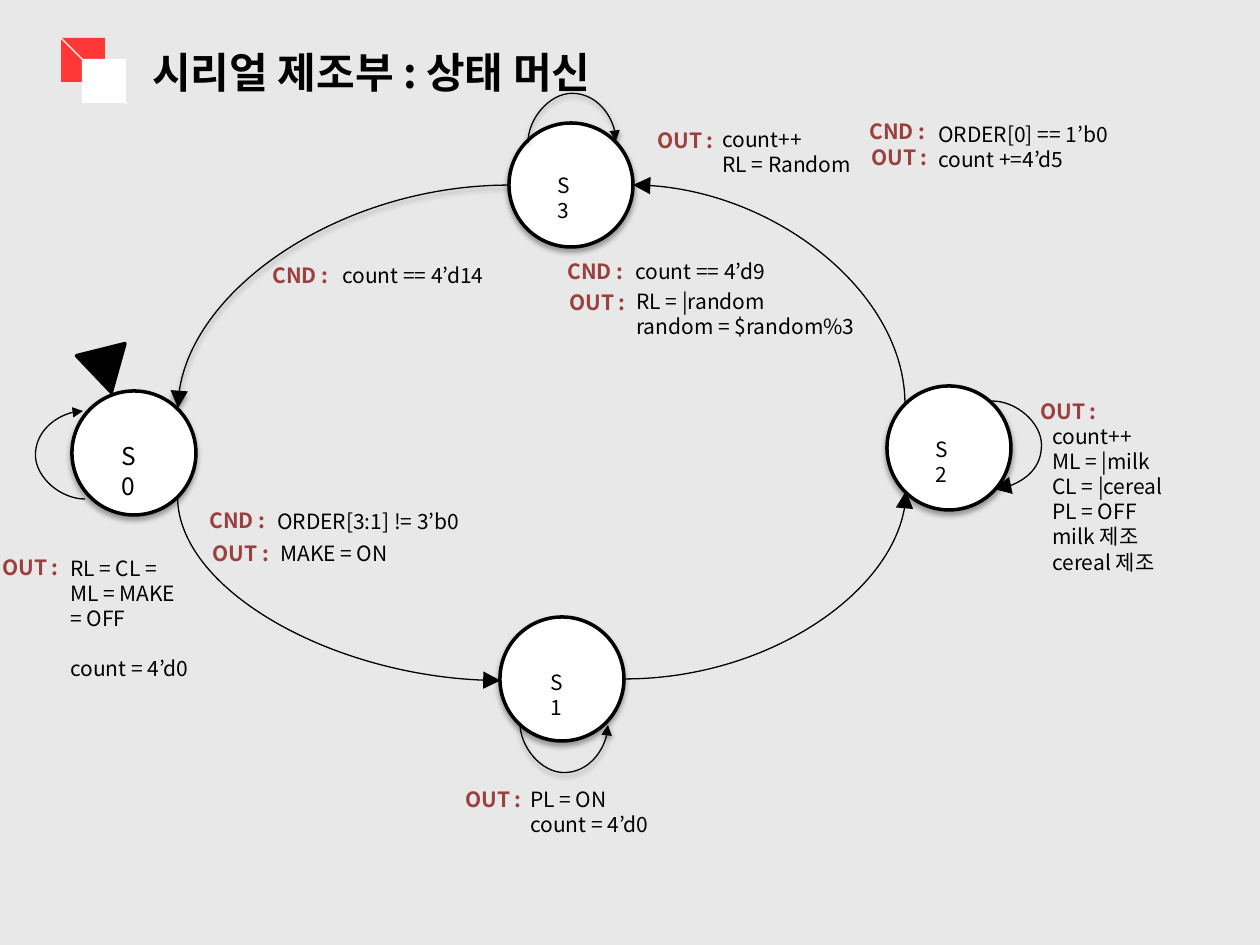
"""Builds the state machine slide of the cereal maker."""

from dataclasses import dataclass

from lxml.etree import SubElement
from pptx import Presentation
from pptx.dml.color import RGBColor
from pptx.enum.shapes import MSO_CONNECTOR, MSO_SHAPE
from pptx.enum.text import MSO_ANCHOR, MSO_AUTO_SIZE, PP_ALIGN
from pptx.oxml.ns import qn
from pptx.util import Emu, Pt


@dataclass(frozen=True)
class Theme:
    font: str = "Noto Sans CJK KR"
    ground: RGBColor = RGBColor(0xE8, 0xE8, 0xE8)
    ink: RGBColor = RGBColor(0, 0, 0)
    white: RGBColor = RGBColor(0xFF, 0xFF, 0xFF)
    red: RGBColor = RGBColor(0xFF, 0x37, 0x37)
    keyword: RGBColor = RGBColor(0x9A, 0x40, 0x3E)
    title_size: int = 24
    start_size: int = 14
    text_size: int = 12


THEME = Theme()
PX = 914400 / 126
INSET = Emu(45720)


def write(box, text, size, color, bold=False, wrap=False):
    frame = box.text_frame
    frame.text = text
    frame.word_wrap = wrap
    frame.auto_size = MSO_AUTO_SIZE.NONE
    frame.vertical_anchor = MSO_ANCHOR.TOP
    frame.margin_left = frame.margin_right = INSET
    frame.margin_top = frame.margin_bottom = INSET
    for para in frame.paragraphs:
        para.alignment = PP_ALIGN.LEFT
        for span in para.runs:
            span.font.name = THEME.font
            span.font.size = Pt(size)
            span.font.bold = bold
            span.font.color.rgb = color
            SubElement(span.font._element, qn("a:ea"), typeface=THEME.font)


def add_shadow(properties, alpha):
    effects = SubElement(properties, qn("a:effectLst"))
    if alpha:
        shadow = SubElement(effects, qn("a:outerShdw"), blurRad="38100", dist="22860",
                            dir="5400000", rotWithShape="0")
        tone = SubElement(shadow, qn("a:srgbClr"), val=str(THEME.ink))
        SubElement(tone, qn("a:alpha"), val=str(alpha * 1000))


deck = Presentation()
deck.slide_width, deck.slide_height = Emu(9144000), Emu(6858000)
page = deck.slides.add_slide(deck.slide_layouts[5])
page.background.fill.solid()
page.background.fill.fore_color.rgb = THEME.ground
shapes = page.shapes

title = shapes.title
title.left, title.top, title.width, title.height = [round(n * PX) for n in (146, 40, 508, 63)]
write(title, "시리얼 제조부 : 상태 머신", THEME.title_size, THEME.ink, bold=True)

for left, top, color in [(61, 38, THEME.red), (82, 59, THEME.white)]:
    square = shapes.add_shape(MSO_SHAPE.RECTANGLE, *[round(n * PX) for n in (left, top, 44, 44)])
    square.shadow.inherit = False
    square.fill.solid()
    square.fill.fore_color.rgb = color
    square.line.fill.background()

diagonal = shapes.add_connector(MSO_CONNECTOR.STRAIGHT, *[round(n * PX) for n in (61, 38, 127, 104)])
diagonal.line.color.rgb = THEME.white
diagonal.line.width = Pt(0.75)
add_shadow(diagonal.element.spPr, 0)

states = [
    ("S0", 72, 391, 115, 435, THEME.start_size),
    ("S1", 500, 617, 544, 663, THEME.text_size),
    ("S2", 887, 386, 929, 430, THEME.text_size),
    ("S3", 509, 123, 551, 166, THEME.text_size),
]
for name, left, top, text_left, text_top, size in states:
    circle = shapes.add_shape(MSO_SHAPE.OVAL, *[round(n * PX) for n in (left, top, 124, 124)])
    circle.fill.solid()
    circle.fill.fore_color.rgb = THEME.white
    circle.line.color.rgb = THEME.ink
    circle.line.width = Pt(2)
    add_shadow(circle.element.spPr, 35)
    box = shapes.add_textbox(*[round(n * PX) for n in (text_left, text_top, 35, 63)])
    write(box, name, size, THEME.ink, wrap=True)

marker = shapes.add_shape(MSO_SHAPE.ISOSCELES_TRIANGLE, *[round(n * PX) for n in (81, 349, 50, 44)])
marker.rotation = 166
marker.shadow.inherit = False
marker.fill.solid()
marker.fill.fore_color.rgb = THEME.ink
marker.line.color.rgb = THEME.ink
marker.line.width = Pt(2)

keywords = [
    ("OUT :", -4, 548), ("CND :", 203, 501), ("OUT :", 206, 534), ("OUT :", 1034, 392),
    ("OUT :", 563, 283), ("CND :", 561, 252), ("OUT :", 651, 121), ("CND :", 266, 256),
    ("OUT :", 459, 780), ("CND :", 863, 112), ("OUT :", 865, 138),
]
for text, left, top in keywords:
    box = shapes.add_textbox(*[round(n * PX) for n in (left, top, 71, 38)])
    write(box, text, THEME.text_size, THEME.keyword, bold=True)

notes = [
    ("RL = CL =\nML = MAKE\n= OFF\ncount = 4’d0", 64, 549, 267, 140),
    ("ORDER[3:1] != 3’b0", 271, 502, 199, 38),
    ("MAKE = ON", 274, 534, 132, 38),
    ("count++\nML = |milk\nCL = |cereal\nPL = OFF\nmilk 제조\ncereal 제조", 1046, 417, 127, 165),
    ("RL = |random\nrandom = $random%3", 630, 282, 234, 89),
    ("count == 4’d9", 629, 252, 161, 38),
    ("count++\nRL = Random", 716, 120, 146, 63),
    ("ORDER[0] == 1’b0\ncount +=4’d5", 932, 115, 192, 89),
    ("count == 4’d14", 336, 256, 165, 38),
    ("PL = ON\ncount = 4’d0", 524, 780, 139, 63),
]
for text, *place in notes:
    box = shapes.add_textbox(*[round(n * PX) for n in place])
    write(box, text, THEME.text_size, THEME.ink)
    if text.startswith("RL = CL"):
        box.text_frame.paragraphs[-1].space_before = Pt(14)

arrows = [
    ("curvedConnector2", (431, 427, 247, 750), 270, "tailEnd", "lg", 0),
    ("curvedConnector2", (633, 185, 905, 404), 0, "headEnd", "lg", 0),
    ("curvedConnector2", (178, 408, 509, 185), 180, "tailEnd", "lg", 38),
    ("curvedConnector2", (625, 679, 906, 491), 0, "tailEnd", "lg", 0),
    ("curvedConnector3", (83, 411, 85, 499), 180, "tailEnd", "med", 0),
    ("curvedConnector3", (565, 680, 563, 768), 270, "tailEnd", "med", 38),
    ("curvedConnector3", (992, 401, 994, 489), 0, "tailEnd", "lg", 0),
    ("curvedConnector3", (573, 186, 571, 98), 90, "tailEnd", "med", 38),
]
for preset, ends, turn, end, head_size, alpha in arrows:
    arrow = shapes.add_connector(MSO_CONNECTOR.CURVE, *[round(n * PX) for n in ends])
    arrow.line.color.rgb = THEME.ink
    arrow.line.width = Pt(0.75)
    properties = arrow.element.spPr
    properties.find(qn("a:xfrm")).set("rot", str(turn * 60000))
    geometry = properties.find(qn("a:prstGeom"))
    geometry.set("prst", preset)
    if preset == "curvedConnector3":
        SubElement(geometry.find(qn("a:avLst")), qn("a:gd"), name="adj1", fmla="val 2500000")
    SubElement(properties.find(qn("a:ln")), qn("a:" + end), type="triangle", w=head_size, len=head_size)
    add_shadow(properties, alpha)

deck.save("out.pptx")
